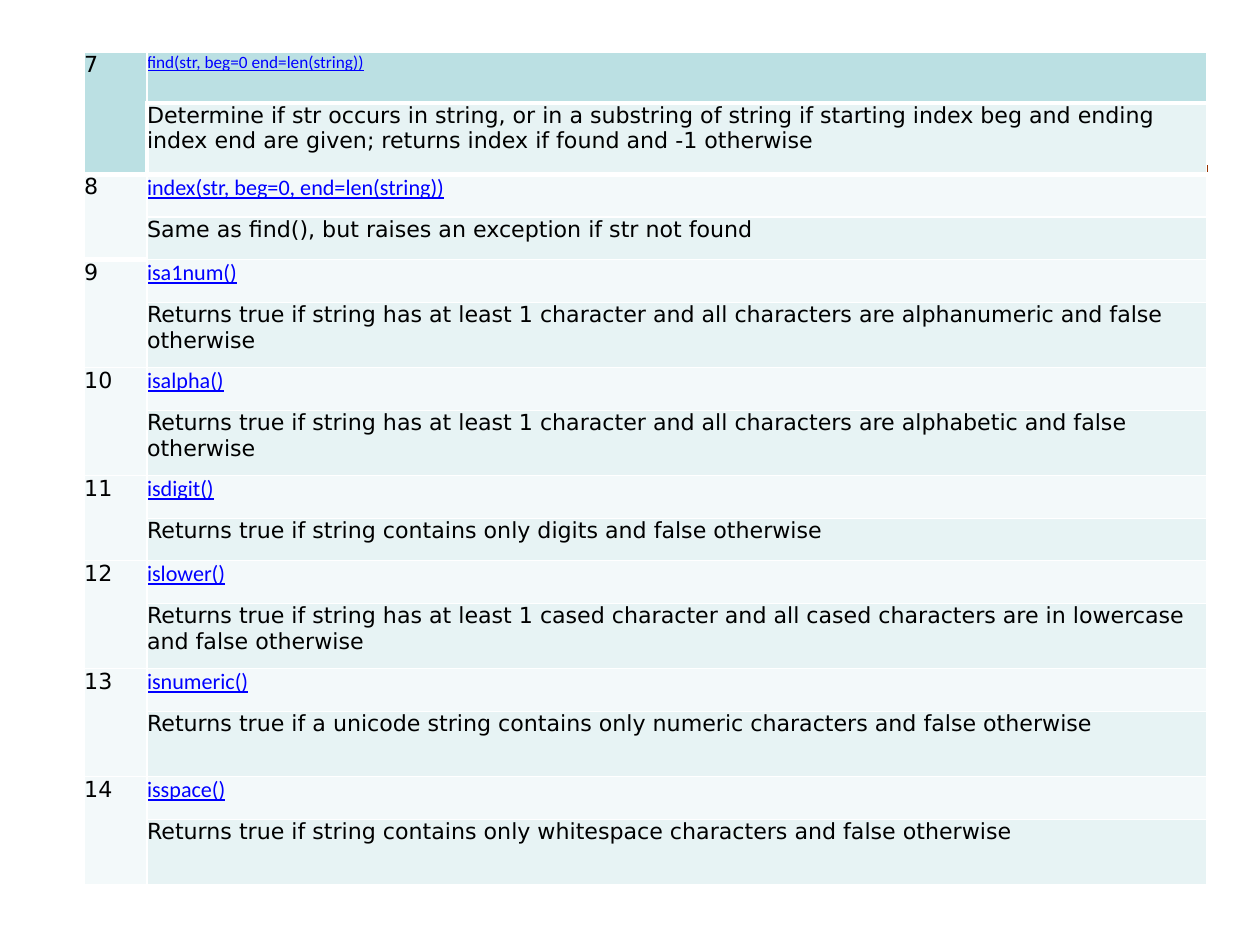
from dataclasses import dataclass

from lxml.etree import SubElement
from pptx import Presentation
from pptx.dml.color import RGBColor
from pptx.enum.shapes import MSO_CONNECTOR
from pptx.oxml.ns import qn
from pptx.slide import Slide
from pptx.table import Table, _Cell
from pptx.util import Pt

STRAIGHT = MSO_CONNECTOR.STRAIGHT
COLORS = {
    "rule": "993300",
    "border": "FFFFFF",
    "header": "BBE0E3",
    "signature": "F3F9FA",
    "description": "E7F3F4",
    "link": "0000FF",
    "text": "000000",
}
TABLE_LEFT, TABLE_TOP = 68.4, 42.5
COLUMN_WIDTHS = (51.1, 861.1)
THIN, THICK = 1, 4
THICK_EDGES = {
    (0, 0, "B"), (0, 1, "B"),
    (1, 0, "B"), (1, 1, "L"), (1, 1, "T"), (1, 1, "B"),
    (2, 0, "T"), (2, 1, "T"),
    (2, 0, "B"), (3, 0, "B"), (4, 0, "T"),
}
BODY_FONT = {"name": "DejaVu Sans", "size": Pt(18), "bold": False}
LINK_FONT = {"name": "Calibri", "size": Pt(18), "bold": False, "underline": True}
MARGINS = {f"margin_{side}": 0 for side in ("left", "top", "right", "bottom")}


@dataclass
class Method:
    number: int
    signature: str
    description: str
    description_height: float = 34.6
    signature_height: float = 34.6
    signature_size: float = 18
    fill: str = "signature"


METHODS = [
    Method(7, "find(str, beg=0 end=len(string))",
           "Determine if str occurs in string, or in a substring of string if starting "
           "index beg and ending index end are given; returns index if found and -1 otherwise",
           58.3, 41, 14, "header"),
    Method(8, "index(str, beg=0, end=len(string))",
           "Same as find(), but raises an exception if str not found"),
    Method(9, "isa1num()",
           "Returns true if string has at least 1 character and all characters are "
           "alphanumeric and false otherwise", 53.2),
    Method(10, "isalpha()",
           "Returns true if string has at least 1 character and all characters are "
           "alphabetic and false otherwise", 53.2),
    Method(11, "isdigit()",
           "Returns true if string contains only digits and false otherwise"),
    Method(12, "islower()",
           "Returns true if string has at least 1 cased character and all cased "
           "characters are in lowercase and false otherwise", 53.2),
    Method(13, "isnumeric()",
           "Returns true if a unicode string contains only numeric characters and "
           "false otherwise", 53.2),
    Method(14, "isspace()",
           "Returns true if string contains only whitespace characters and false otherwise",
           53.2),
]


def format_cell(cell: _Cell, row: int, column: int, fill: str) -> None:
    for name, value in MARGINS.items():
        setattr(cell, name, value)
    properties = cell._tc.get_or_add_tcPr()
    for side in "LRTB":
        width = THICK if (row, column, side) in THICK_EDGES else THIN
        line = SubElement(properties, qn(f"a:ln{side}"), w=str(Pt(width)))
        solid = SubElement(line, qn("a:solidFill"))
        SubElement(solid, qn("a:srgbClr"), val=COLORS["border"])
    cell.fill.solid()
    cell.fill.fore_color.rgb = RGBColor.from_string(COLORS[fill])


def write_cell(cell: _Cell, text: str, font_format: dict, color: str) -> None:
    run = cell.text_frame.paragraphs[0].add_run()
    run.text = text
    for name, value in font_format.items():
        setattr(run.font, name, value)
    run.font.color.rgb = RGBColor.from_string(COLORS[color])


def add_method(table: Table, row: int, method: Method) -> None:
    table.rows[row].height = Pt(method.signature_height)
    table.rows[row + 1].height = Pt(method.description_height)
    for offset, signature_fill in enumerate((method.fill, "description")):
        format_cell(table.cell(row + offset, 0), row + offset, 0, method.fill)
        format_cell(table.cell(row + offset, 1), row + offset, 1, signature_fill)
    number_cell = table.cell(row, 0)
    number_cell.merge(table.cell(row + 1, 0))
    link_format = LINK_FONT | {"size": Pt(method.signature_size)}
    write_cell(number_cell, str(method.number), BODY_FONT, "text")
    write_cell(table.cell(row, 1), method.signature, link_format, "link")
    write_cell(table.cell(row + 1, 1), method.description, BODY_FONT, "text")


def add_rule(slide: Slide) -> None:
    rule = slide.shapes.add_connector(STRAIGHT, Pt(68.4), Pt(136.8), Pt(981.4), Pt(136.8))
    rule.line.width = Pt(6)
    rule.line.color.rgb = RGBColor.from_string(COLORS["rule"])
    SubElement(rule._element.spPr, qn("a:effectLst"))


def add_method_table(slide: Slide) -> None:
    height = sum(method.signature_height + method.description_height for method in METHODS)
    table = slide.shapes.add_table(
        2 * len(METHODS), len(COLUMN_WIDTHS), Pt(TABLE_LEFT), Pt(TABLE_TOP),
        Pt(sum(COLUMN_WIDTHS)), Pt(height)).table
    table.first_row = False
    table.horz_banding = False
    for column, width in zip(table.columns, COLUMN_WIDTHS):
        column.width = Pt(width)
    for index, method in enumerate(METHODS):
        add_method(table, 2 * index, method)


def main() -> None:
    presentation = Presentation()
    presentation.slide_width = Pt(1024)
    presentation.slide_height = Pt(768)
    slide = presentation.slides.add_slide(presentation.slide_layouts[6])
    add_rule(slide)
    add_method_table(slide)
    presentation.save("out.pptx")


if __name__ == "__main__":
    main()
